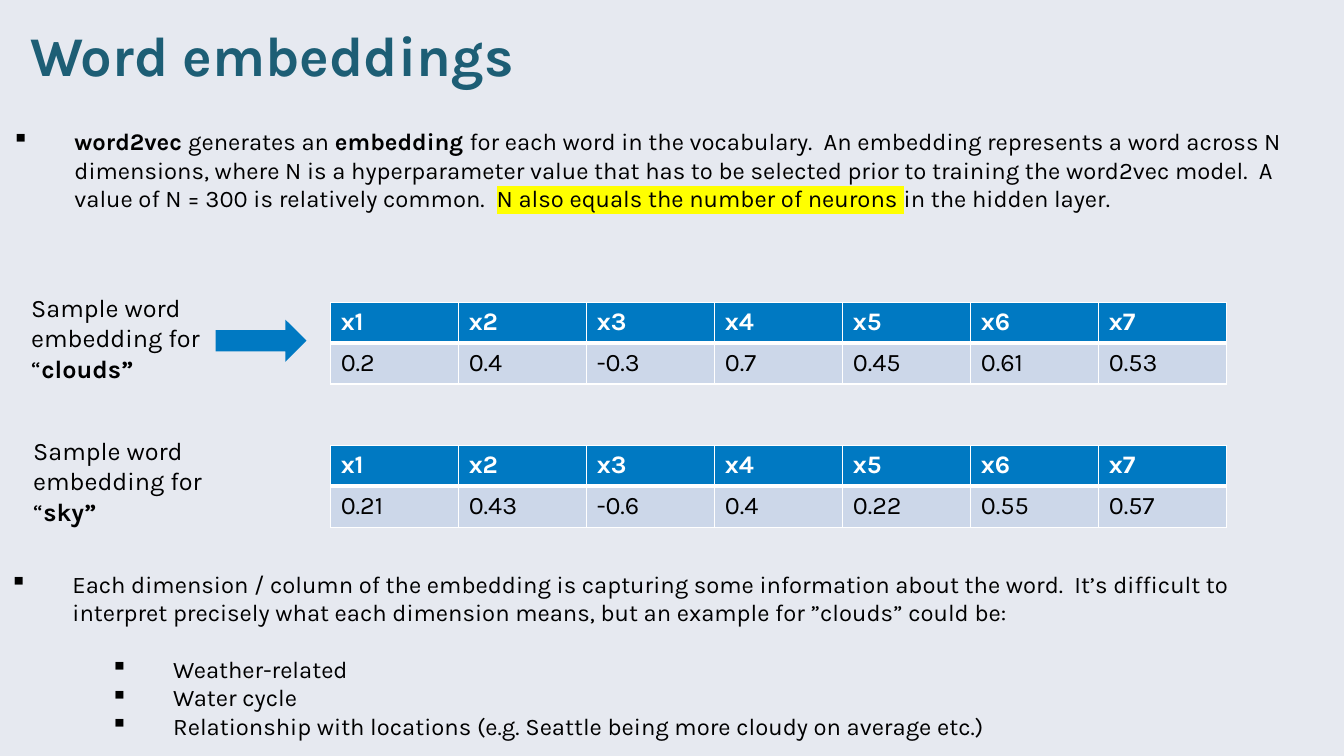
"""Build the word embeddings slide with two sample vectors."""
from lxml import etree
from pptx import Presentation
from pptx.dml.color import RGBColor
from pptx.enum.shapes import MSO_SHAPE as Shape
from pptx.enum.text import MSO_AUTO_SIZE as AutoSize
from pptx.oxml.ns import qn
from pptx.util import Inches, Pt

BLUE, PALE, WHITE, BLACK = "0079C2", "CCD7E9", "FFFFFF", "000000"


def rgb(value):
    return RGBColor.from_string(value)


def add_text(paragraph, text, size=17, color=BLACK, bold=False, highlight=None):
    run = paragraph.add_run()
    run.text = text
    run.font.size = Pt(size)
    run.font.bold = bold
    run.font.name = "Karla"
    run.font.color.rgb = rgb(color)
    if highlight:
        mark = etree.Element(qn("a:highlight"))
        etree.SubElement(mark, qn("a:srgbClr"), val=highlight)
        run.font._element.find(qn("a:latin")).addprevious(mark)


presentation = Presentation()
presentation.slide_width = Inches(13.33)
presentation.slide_height = Inches(7.5)
slide = presentation.slides.add_slide(presentation.slide_layouts[6])
slide.background.fill.solid()
slide.background.fill.fore_color.rgb = rgb("E6E9F0")

title = slide.shapes.add_textbox(Inches(0.2), Inches(0.15), Inches(12.77), Inches(0.77))
title.text_frame.word_wrap = True
add_text(title.text_frame.paragraphs[0], "Word embeddings", size=40, color="1D5E75", bold=True)

samples = [
    ("clouds”", 0.31, 2.9, ["0.2", "0.4", "-0.3", "0.7", "0.45", "0.61", "0.53"]),
    ("sky”", 0.33, 4.32, ["0.21", "0.43", "-0.6", "0.4", "0.22", "0.55", "0.57"]),
]
for word, left, top, values in samples:
    label = slide.shapes.add_textbox(Inches(left), Inches(top), Inches(1.83), Inches(0.91))
    frame = label.text_frame
    frame.word_wrap = True
    frame.margin_left = frame.margin_right = frame.margin_top = frame.margin_bottom = 0
    add_text(frame.paragraphs[0], "Sample word embedding for “", size=18)
    add_text(frame.paragraphs[0], word, size=18, bold=True)

    headers = [f"x{number}" for number in range(1, len(values) + 1)]
    table = slide.shapes.add_table(
        2, len(values), Inches(3.28), Inches(top + 0.1), Inches(8.89), Inches(0.81)
    ).table
    for column in table.columns:
        column.width = Inches(1.27)
    rows = [(headers, BLUE, WHITE, True), (values, PALE, BLACK, False)]
    for row, (texts, fill, color, bold) in enumerate(rows):
        for column, text in enumerate(texts):
            cell = table.cell(row, column)
            add_text(cell.text_frame.paragraphs[0], text, size=18, color=color, bold=bold)
            properties = cell._tc.get_or_add_tcPr()
            for side in ("L", "R", "T", "B"):
                thick = (row, side) in [(0, "B"), (1, "T")]
                border = etree.SubElement(properties, qn(f"a:ln{side}"), w=str(Pt(3 if thick else 1)))
                solid = etree.SubElement(border, qn("a:solidFill"))
                etree.SubElement(solid, qn("a:srgbClr"), val=WHITE)
            cell.fill.solid()
            cell.fill.fore_color.rgb = rgb(fill)

arrow = slide.shapes.add_shape(
    Shape.RIGHT_ARROW, Inches(2.14), Inches(3.17), Inches(0.9), Inches(0.42)
)
arrow.shadow.inherit = False
arrow.fill.solid()
arrow.fill.fore_color.rgb = rgb(BLUE)
arrow.line.fill.background()

introduction = [
    ("word2vec ", {"bold": True}),
    ("generates an ", {}),
    ("embedding ", {"bold": True}),
    ("for each word in the vocabulary.  An embedding represents a word across N dimensions, "
     "where N is a hyperparameter value that has to be selected prior to training the "
     "word2vec model.  A value of N = 300 is relatively common.  ", {}),
    ("N also equals the number of neurons ", {"highlight": "FFFF00"}),
    ("in the hidden layer.", {}),
]
meaning = [
    ("Each dimension / column of the embedding is capturing some information about the word.  "
     "It’s difficult to interpret precisely what each dimension means, but an example for "
     "”clouds” could be:", {}),
]
bullet_boxes = [
    (0.02, 1.21, 0.96, [(0, 0, introduction)]),
    (0, 5.6, 1.82, [
        (0, 0, meaning),
        (2, 20, [("Weather-related", {})]),
        (2, 0, [("Water cycle", {})]),
        (2, 0, [("Relationship with locations (e.g. Seattle being more cloudy on average etc.)", {})]),
    ]),
]
for left, top, height, items in bullet_boxes:
    box = slide.shapes.add_textbox(Inches(left), Inches(top), Inches(13.14), Inches(height))
    frame = box.text_frame
    frame.word_wrap = True
    frame.auto_size = AutoSize.SHAPE_TO_FIT_TEXT
    for index, (level, gap, runs) in enumerate(items):
        paragraph = frame.add_paragraph() if index else frame.paragraphs[0]
        paragraph.level = level
        properties = paragraph._p.get_or_add_pPr()
        properties.set("marL", str(Inches(0.62 + level * 0.5)))
        properties.set("indent", str(Inches(-0.62)))
        etree.SubElement(properties, qn("a:buChar"), char="▪")
        if gap:
            paragraph.space_before = Pt(gap)
        for text, style in runs:
            add_text(paragraph, text, **style)

presentation.save("out.pptx")
